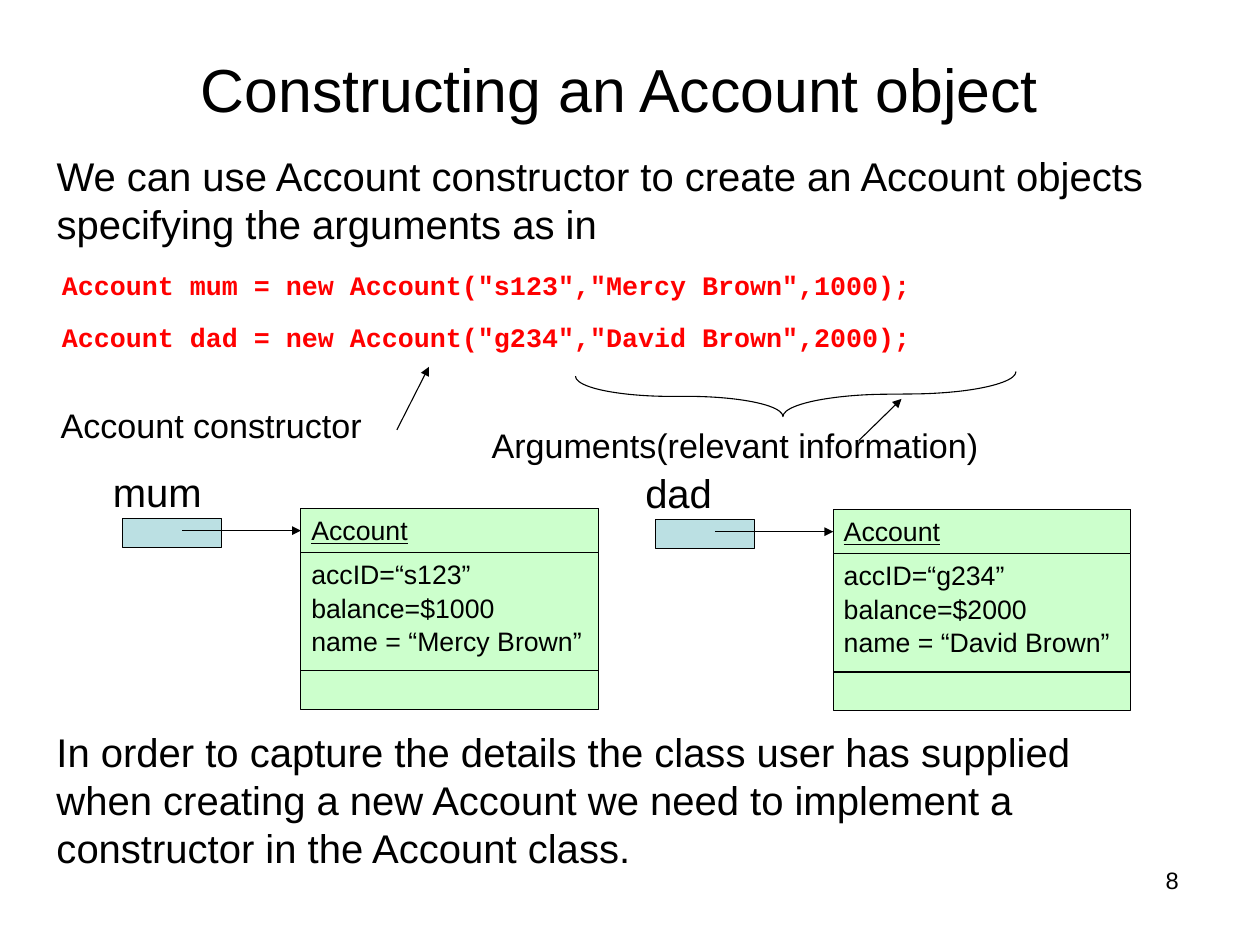
from dataclasses import dataclass

from pptx import Presentation
from pptx.dml.color import RGBColor
from pptx.enum import shapes, text
from pptx.oxml import parse_xml
from pptx.oxml.ns import nsdecls, qn
from pptx.util import Inches, Pt

BLACK, RED, GREEN, TEAL = "000000", "FF0000", "CCFFCC", "BBE0E3"
WIDE_INSETS = (0.11, 0.06)
BOX_INSETS = (0.1, 0.05)


@dataclass
class Label:
    text: str
    left: float
    top: float
    width: float
    height: float
    size: float
    color: str = BLACK
    font: str = "Arial"
    bold: bool = False
    underline: bool = False
    align: text.PP_ALIGN = text.PP_ALIGN.LEFT
    before: float = 0
    spacing: float = 1.0
    insets: tuple = BOX_INSETS
    wrap: bool = True


@dataclass
class AccountObject:
    variable: str
    account_id: str
    balance: int
    owner: str
    left: float
    top: float


LABELS = [
    Label("Account constructor", 0.47, 3.74, 3.94, 0.49, 23, before=11.5),
    Label("Arguments(relevant information)", 4.51, 4.05, 5.9, 0.36, 23,
          before=11.5, spacing=0.65),
    Label("We can use Account constructor to create an Account objects "
          "specifying the arguments as in",
          0.42, 1.36, 11.12, 1.02, 27, before=13.5, insets=WIDE_INSETS),
    Label('Account mum = new Account("s123","Mercy Brown",1000);\n'
          'Account dad = new Account("g234","David Brown",2000);',
          0.47, 2.46, 8.22, 0.92, 18, RED, "Courier New", bold=True,
          before=13.5, insets=WIDE_INSETS, wrap=False),
    Label("In order to capture the details the class user has supplied\n"
          "when creating a new Account we need to implement a\n"
          "constructor in the Account class.",
          0.42, 6.76, 9.93, 1.48, 27, insets=WIDE_INSETS, wrap=False),
    Label("8", 8.7, 8.06, 2.46, 0.59, 16, align=text.PP_ALIGN.RIGHT,
          insets=WIDE_INSETS),
]

ACCOUNTS = [
    AccountObject("mum", "s123", 1000, "Mercy Brown", 2.82, 4.77),
    AccountObject("dad", "g234", 2000, "David Brown", 7.81, 4.78),
]


def rgb(color: str) -> RGBColor:
    return RGBColor.from_string(color)


def write(sp, label: Label, anchor=text.MSO_ANCHOR.TOP) -> None:
    tf = sp.text_frame
    tf.text = label.text
    tf.word_wrap = label.wrap
    tf.auto_size = text.MSO_AUTO_SIZE.NONE
    tf.vertical_anchor = anchor
    tf.margin_left = tf.margin_right = Inches(label.insets[0])
    tf.margin_top = tf.margin_bottom = Inches(label.insets[1])
    for p in tf.paragraphs:
        p.alignment = label.align
        p.space_before = Pt(label.before)
        p.line_spacing = label.spacing
        for r in p.runs:
            r.font.name = label.font
            r.font.size = Pt(label.size)
            r.font.bold = label.bold
            r.font.underline = label.underline
            r.font.color.rgb = rgb(label.color)


def place(label: Label) -> tuple:
    return tuple(Inches(v) for v in
                 (label.left, label.top, label.width, label.height))


def add_label(s, label: Label) -> None:
    write(s.shapes.add_textbox(*place(label)), label)


def add_outlined(s, kind, left: float, top: float, width: float,
                 height: float, fill: str = ""):
    sp = s.shapes.add_shape(kind, Inches(left), Inches(top),
                            Inches(width), Inches(height))
    sp.shadow.inherit = False
    if fill:
        sp.fill.solid()
        sp.fill.fore_color.rgb = rgb(fill)
    else:
        sp.fill.background()
    sp.line.color.rgb = rgb(BLACK)
    sp.line.width = Pt(0.75)
    return sp


def add_line(s, x1: float, y1: float, x2: float, y2: float,
             arrow: bool = False):
    line = s.shapes.add_connector(shapes.MSO_CONNECTOR.STRAIGHT, Inches(x1),
                                  Inches(y1), Inches(x2), Inches(y2))
    line.line.color.rgb = rgb(BLACK)
    line.line.width = Pt(0.75)
    properties = line._element.spPr
    if arrow:
        properties.find(qn("a:ln")).append(
            parse_xml(f'<a:tailEnd {nsdecls("a")} type="triangle"/>'))
    properties.append(parse_xml(f'<a:effectLst {nsdecls("a")}/>'))
    return line


def add_account(s, account: AccountObject) -> None:
    """Draw a variable pointing at its object, with name and field compartments."""
    left, top, width, header_height = account.left, account.top, 2.79, 0.41
    rect = shapes.MSO_SHAPE.RECTANGLE
    add_outlined(s, rect, left, top, width, 1.88, GREEN)
    header = add_outlined(s, rect, left, top, width, header_height, GREEN)
    write(header, Label("Account", left, top, width, header_height, 18,
                        underline=True, before=9))
    add_outlined(s, rect, left - 1.67, top + 0.09, 0.93, 0.27, TEAL)
    middle = top + header_height / 2
    pointer = add_line(s, left - 1.11, middle, left, middle, arrow=True)
    pointer.end_connect(header, 1)
    add_line(s, left, top + 1.52, left + width, top + 1.52)
    add_label(s, Label(account.variable, left - 1.86, top - 0.44, 1.4, 0.56,
                       27, before=13.5))
    fields = (f"accID=“{account.account_id}”\n"
              f"balance=${account.balance}\n"
              f"name = “{account.owner}”")
    add_label(s, Label(fields, left, top + 0.52, 3.44, 0.95, 18,
                       before=9.5, spacing=0.6))


def main() -> None:
    prs = Presentation()
    prs.slide_width, prs.slide_height = Inches(11.81), Inches(8.86)
    s = prs.slides.add_slide(prs.slide_layouts[5])

    heading = Label("Constructing an Account object", 1.07, 0.34, 9.48, 0.98,
                    41, align=text.PP_ALIGN.CENTER, insets=WIDE_INSETS)
    title = s.shapes.title
    title.left, title.top, title.width, title.height = place(heading)
    write(title, heading, text.MSO_ANCHOR.MIDDLE)

    add_line(s, 3.72, 4.03, 4.02, 3.44, arrow=True)
    brace = add_outlined(s, shapes.MSO_SHAPE.RIGHT_BRACE, 7.26, 1.64, 0.4, 4.13)
    brace.rotation = 89.4
    brace.adjustments[0] = 2.39
    brace.adjustments[1] = 0.53
    add_line(s, 8.05, 4.13, 8.45, 3.74, arrow=True)

    for label in LABELS:
        add_label(s, label)
    for account in ACCOUNTS:
        add_account(s, account)

    prs.save("out.pptx")


if __name__ == "__main__":
    main()
